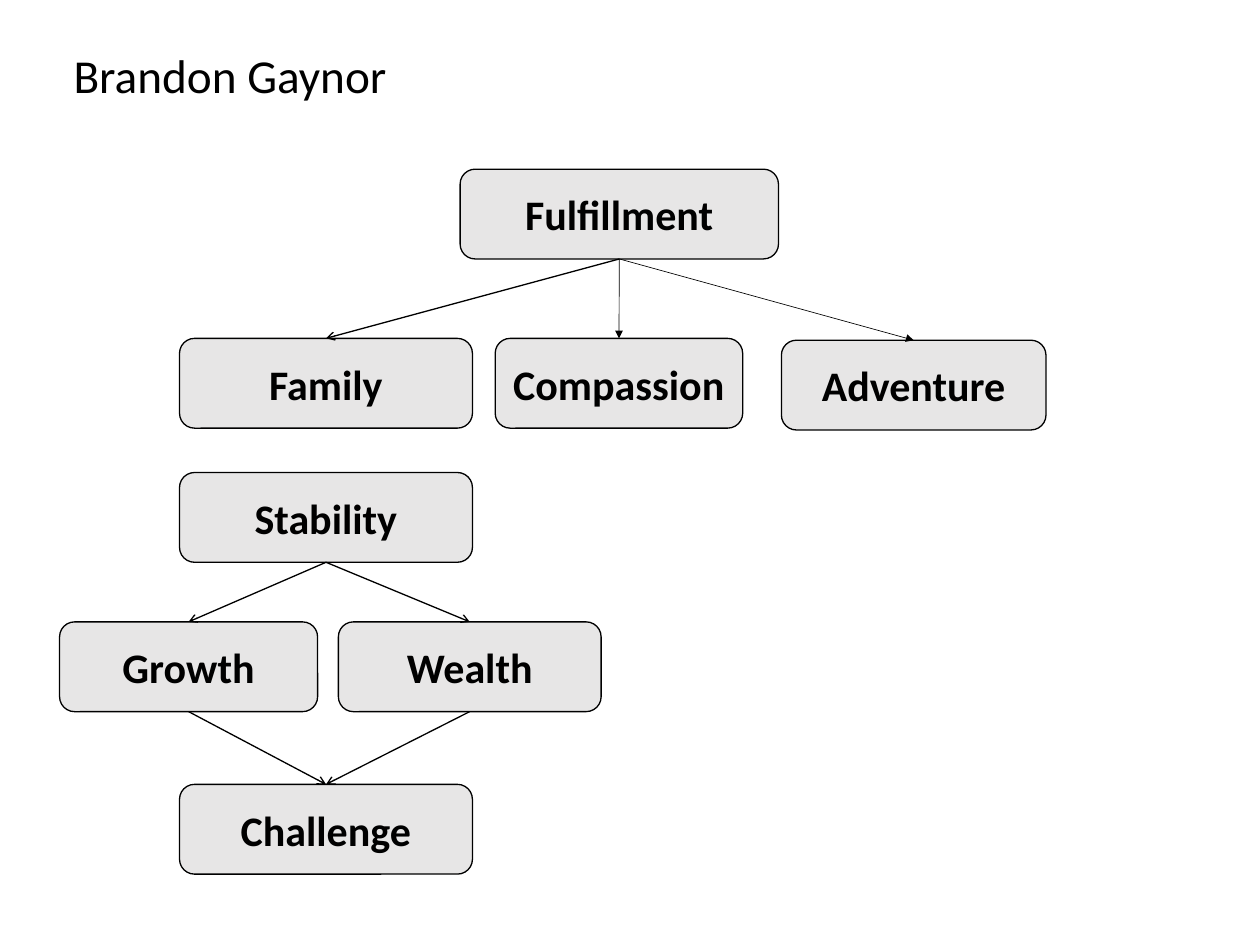
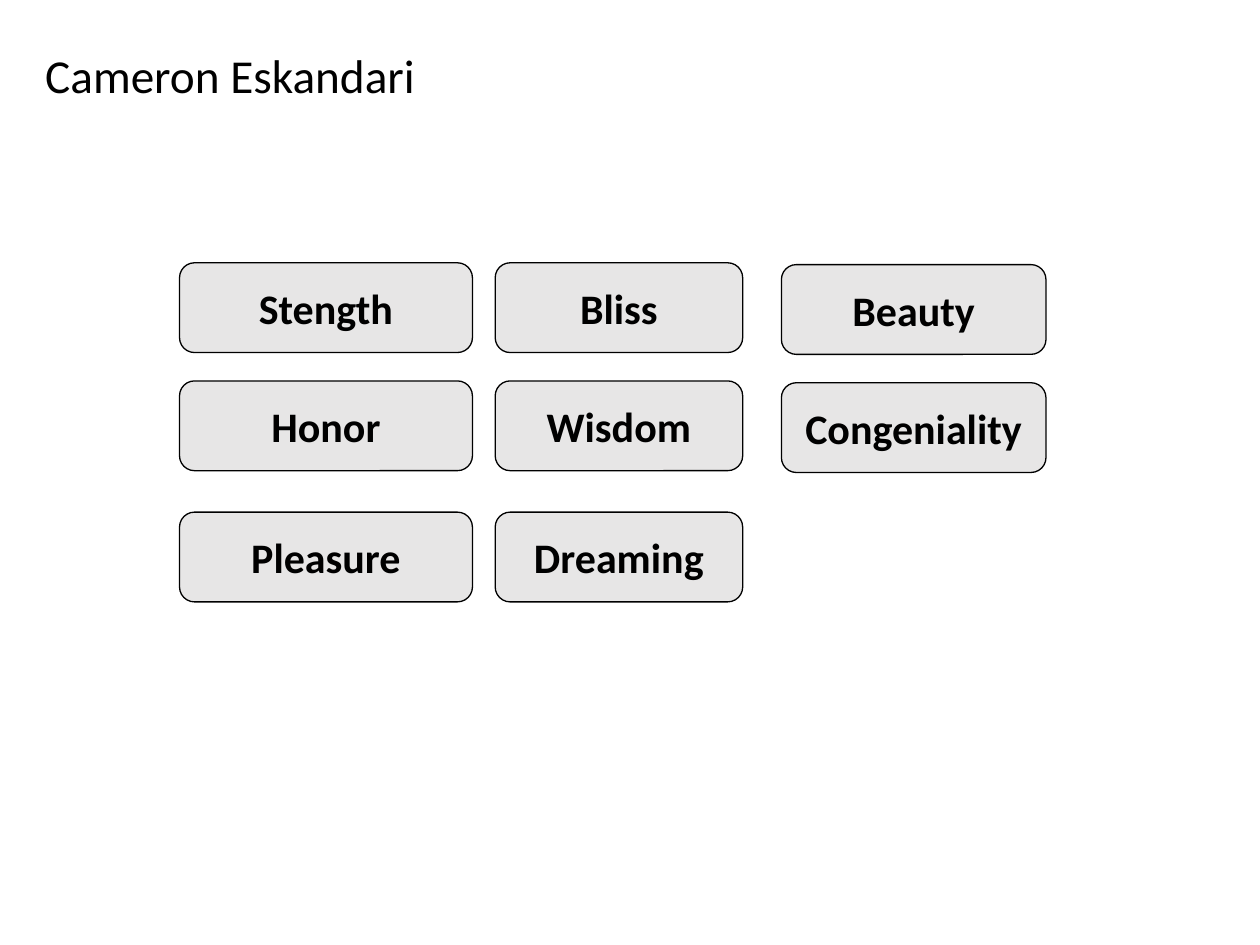
from pptx import Presentation
from pptx.dml.color import RGBColor
from pptx.enum.shapes import MSO_CONNECTOR, MSO_SHAPE
from pptx.enum.text import MSO_ANCHOR, MSO_AUTO_SIZE, PP_ALIGN
from pptx.oxml.ns import qn
from pptx.util import Pt
from lxml.etree import SubElement

COLORS = {"box": "E7E6E6", "ink": "000000"}
FONT = "Calibri"
BOX_HEIGHT = 68.4
TOP_SITE, BOTTOM_SITE = 0, 2

# Left edge and width of the three columns of boxes
COLUMNS = [(136.8, 223.2), (377.3, 188.6), (595.4, 201.6)]
COLUMN_DROPS = [0, 0, 1.4]  # the right column sits slightly lower


def color(name):
    return RGBColor.from_string(COLORS[name])


def write_centered(shape, text, size, bold=False):
    frame = shape.text_frame
    frame.word_wrap = True
    frame.auto_size = MSO_AUTO_SIZE.NONE
    frame.vertical_anchor = MSO_ANCHOR.MIDDLE
    paragraph = frame.paragraphs[0]
    paragraph.alignment = PP_ALIGN.CENTER
    run = paragraph.add_run()
    run.text = text
    run.font.name = FONT
    run.font.size = Pt(size)
    run.font.bold = bold
    run.font.color.rgb = color("ink")


def add_named_slide(presentation, name):
    slide = presentation.slides.add_slide(presentation.slide_layouts[5])
    title = slide.shapes.title
    title.left, title.top, title.width, title.height = Pt(0), Pt(31), Pt(350.6), Pt(51)
    write_centered(title, name, 36)
    return slide


def add_value_box(slide, text, left, top, width):
    box = slide.shapes.add_shape(
        MSO_SHAPE.ROUNDED_RECTANGLE, Pt(left), Pt(top), Pt(width), Pt(BOX_HEIGHT))
    box.shadow.inherit = False
    box.fill.solid()
    box.fill.fore_color.rgb = color("box")
    box.line.color.rgb = color("ink")
    box.line.width = Pt(1)
    write_centered(box, text, 32, bold=True)
    return box


def add_value_row(slide, texts, top):
    return [add_value_box(slide, text, left, top + drop, width)
            for text, (left, width), drop in zip(texts, COLUMNS, COLUMN_DROPS)]


def add_arrow(slide, parent, child, width=1, head="arrow"):
    arrow = slide.shapes.add_connector(MSO_CONNECTOR.STRAIGHT, 0, 0, 0, 0)
    arrow.begin_connect(parent, BOTTOM_SITE)
    arrow.end_connect(child, TOP_SITE)
    arrow.line.color.rgb = color("ink")
    arrow.line.width = Pt(width)
    properties = arrow.line._get_or_add_ln()
    SubElement(properties, qn("a:tailEnd"), type=head)
    SubElement(properties.getparent(), qn("a:effectLst"))


def build_hierarchy_slide(presentation):
    slide = add_named_slide(presentation, "Brandon Gaynor")

    # Upper tree
    fulfillment = add_value_box(slide, "Fulfillment", 350.6, 128.9, 242.6)
    family, compassion, adventure = add_value_row(
        slide, ["Family", "Compassion", "Adventure"], 257.8)
    add_arrow(slide, fulfillment, family)
    for child in (compassion, adventure):
        add_arrow(slide, fulfillment, child, width=0.5, head="triangle")

    # Lower diamond
    left, width = COLUMNS[0]
    stability = add_value_box(slide, "Stability", left, 360, width)
    growth = add_value_box(slide, "Growth", 45.4, 473.8, 196.6)
    wealth = add_value_box(slide, "Wealth", 257.8, 473.8, 200.2)
    challenge = add_value_box(slide, "Challenge", left, 597.6, width)
    for middle in (growth, wealth):
        add_arrow(slide, stability, middle)
        add_arrow(slide, middle, challenge)


def build_grid_slide(presentation):
    slide = add_named_slide(presentation, "Cameron Eskandari")
    add_value_row(slide, ["Stength", "Bliss", "Beauty"], 200.2)
    add_value_row(slide, ["Honor", "Wisdom", "Congeniality"], 290.2)
    add_value_row(slide, ["Pleasure", "Dreaming"], 390.2)


def main():
    presentation = Presentation()
    presentation.slide_width = Pt(960)
    presentation.slide_height = Pt(720)
    build_hierarchy_slide(presentation)
    build_grid_slide(presentation)
    presentation.save("out.pptx")


if __name__ == "__main__":
    main()
